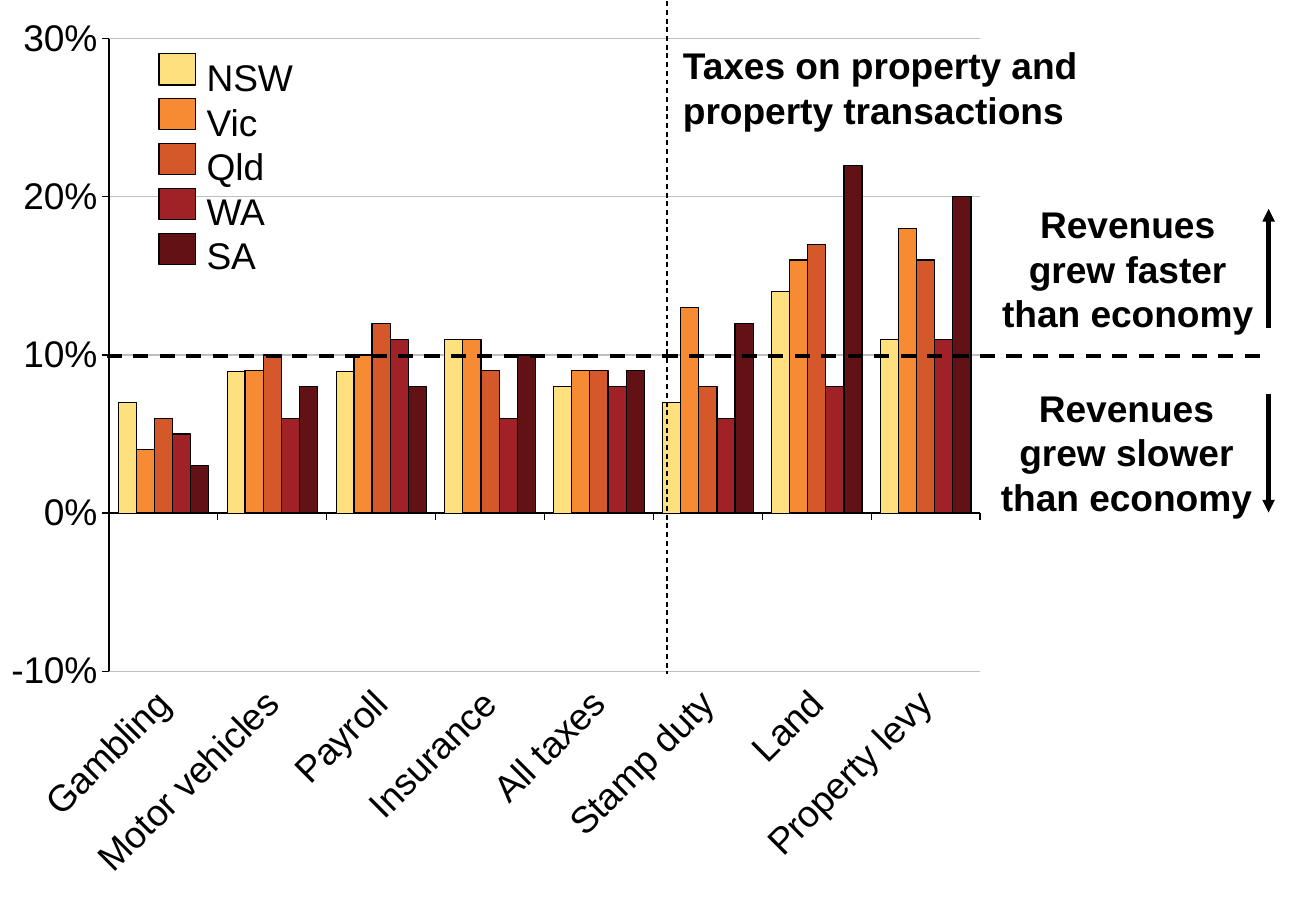
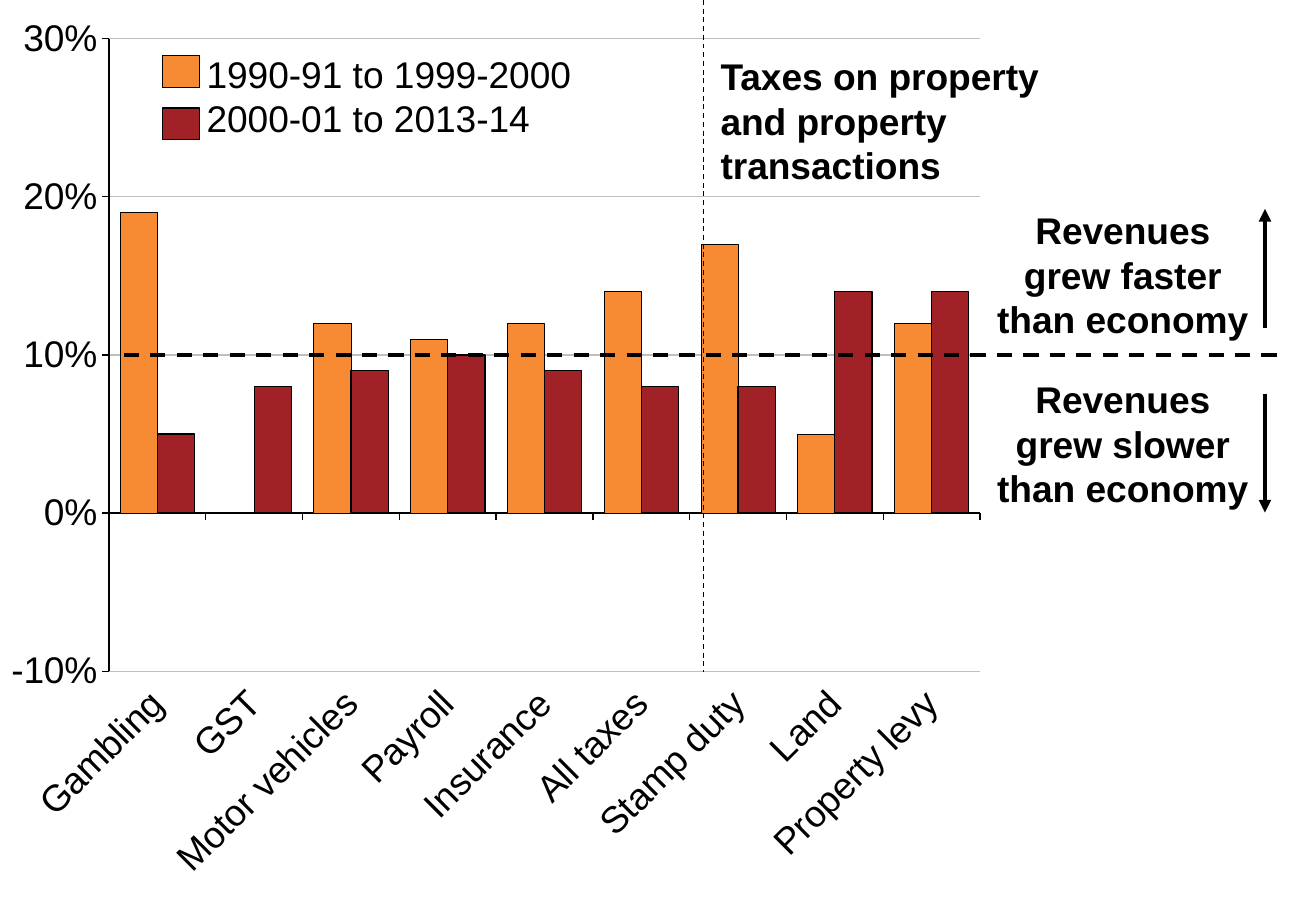
from pptx import Presentation
from pptx.chart.data import CategoryChartData
from pptx.dml.color import RGBColor
from pptx.enum import chart as ch, dml, shapes, text
from pptx.oxml import parse_xml
from pptx.oxml.ns import nsdecls, qn
from pptx.util import Inches, Pt

BLACK = RGBColor(0x00, 0x00, 0x00)
GRID = RGBColor(0xBF, 0xBF, 0xBF)
YELLOW = RGBColor(0xFF, 0xE0, 0x7F)
ORANGE = RGBColor(0xF6, 0x8B, 0x33)
RUST = RGBColor(0xD4, 0x58, 0x2A)
RED = RGBColor(0xA0, 0x22, 0x26)
MAROON = RGBColor(0x62, 0x12, 0x14)
FONT = "Arial"
SIZE = Pt(22)

PLOT_LAYOUT = (
    f'<c:layout {nsdecls("c")}><c:manualLayout><c:layoutTarget val="inner"/>'
    '<c:xMode val="edge"/><c:yMode val="edge"/><c:x val="0.08"/><c:y val="0.043"/>'
    '<c:w val="0.662"/><c:h val="0.703"/></c:manualLayout></c:layout>')

# Each slide: its series, and where its annotations stand
SLIDES = [
    dict(
        categories=["Gambling", "Motor vehicles", "Payroll", "Insurance", "All taxes",
                    "Stamp duty", "Land", "Property levy"],
        series=[
            ("NSW", YELLOW, [0.07, 0.09, 0.09, 0.11, 0.08, 0.07, 0.14, 0.11]),
            ("Vic", ORANGE, [0.04, 0.09, 0.10, 0.11, 0.09, 0.13, 0.16, 0.18]),
            ("Qld", RUST, [0.06, 0.10, 0.12, 0.09, 0.09, 0.08, 0.17, 0.16]),
            ("WA", RED, [0.05, 0.06, 0.11, 0.06, 0.08, 0.06, 0.08, 0.11]),
            ("SA", MAROON, [0.03, 0.08, 0.08, 0.10, 0.09, 0.12, 0.22, 0.20]),
        ],
        gap=100, key=(1.31, 0.44, 0.37), key_text=(1.7, 0.45, 0.84, 1.85),
        divider=(5.49, 0.01, 5.49, 5.55), economy=(0.88, 2.93, 10.44, 2.93),
        faster=(8.12, 1.61, 2.32, 1.21), slower=(8.11, 3.12, 2.32, 1.21),
        arrow_x=10.44, property_taxes=(5.62, 0.35, 3.49, 0.74)),
    dict(
        categories=["Gambling", "GST", "Motor vehicles", "Payroll", "Insurance",
                    "All taxes", "Stamp duty", "Land", "Property levy"],
        series=[
            ("1990-91 to 1999-2000", ORANGE,
             [0.19, None, 0.12, 0.11, 0.12, 0.14, 0.17, 0.05, 0.12]),
            ("2000-01 to 2013-14", RED,
             [0.05, 0.08, 0.09, 0.10, 0.09, 0.08, 0.08, 0.14, 0.14]),
        ],
        gap=60, key=(1.34, 0.46, 0.43), key_text=(1.7, 0.42, 3.7, 0.74),
        divider=(5.79, 0, 5.79, 5.53), economy=(1.02, 2.92, 10.58, 2.92),
        faster=(8.08, 1.66, 2.32, 1.21), slower=(8.08, 3.05, 2.32, 1.21),
        arrow_x=10.41, property_taxes=(5.93, 0.44, 2.94, 1.11)),
]


def add_text(slide, box, lines, bold=False, align=text.PP_ALIGN.LEFT, inset=True):
    frame = slide.shapes.add_textbox(*map(Inches, box)).text_frame
    frame.word_wrap = True
    frame.auto_size = text.MSO_AUTO_SIZE.SHAPE_TO_FIT_TEXT
    if not inset:
        frame.margin_left = frame.margin_right = frame.margin_top = frame.margin_bottom = 0
    frame.text = "\n".join(lines)
    for paragraph in frame.paragraphs:
        paragraph.alignment = align
        font = paragraph.runs[0].font
        font.name, font.size, font.bold = FONT, SIZE, bold
        font.color.rgb = BLACK


def add_line(slide, ends, width, dashed=False, arrow=False):
    connector = slide.shapes.add_connector(shapes.MSO_CONNECTOR.STRAIGHT, *map(Inches, ends))
    line = connector.line
    line.color.rgb = BLACK
    line.width = Pt(width)
    if dashed:
        line.dash_style = dml.MSO_LINE.DASH
    properties = connector._element.spPr
    if arrow:
        properties.find(qn("a:ln")).append(
            parse_xml(f'<a:tailEnd {nsdecls("a")} type="triangle"/>'))
    properties.append(parse_xml(f'<a:effectLst {nsdecls("a")}/>'))


prs = Presentation()
prs.slide_width = Inches(10.83)
prs.slide_height = Inches(7.5)

for content in SLIDES:
    slide = prs.slides.add_slide(prs.slide_layouts[6])

    # Growth chart
    growth = CategoryChartData(number_format="0%")
    growth.categories = content["categories"]
    for name, _, values in content["series"]:
        growth.add_series(name, values)
    chart = slide.shapes.add_chart(
        ch.XL_CHART_TYPE.COLUMN_CLUSTERED, Inches(0.03), 0, Inches(10.83), Inches(7.41),
        growth).chart
    chart.has_legend = chart.has_title = False
    chart.font.name, chart.font.size = FONT, Pt(18)
    chart.font.color.rgb = BLACK
    plot = chart.plots[0]
    plot.gap_width, plot.overlap = content["gap"], 0
    plot.vary_by_categories = False
    for index, (_, color, _) in enumerate(content["series"]):
        bars = plot.series[index]
        bars.format.fill.solid()
        bars.format.fill.fore_color.rgb = color
        bars.format.line.color.rgb = BLACK
        bars.format.line.width = Pt(0.75 if index else 0.25)
        bars.invert_if_negative = False
    plot_area = chart._chartSpace.chart.plotArea
    for layout in plot_area.findall(qn("c:layout")):
        plot_area.remove(layout)
    plot_area.insert(0, parse_xml(PLOT_LAYOUT))

    # Axes
    for axis in (chart.category_axis, chart.value_axis):
        axis.major_tick_mark = ch.XL_TICK_MARK.OUTSIDE
        axis.minor_tick_mark = ch.XL_TICK_MARK.NONE
        axis.format.line.color.rgb = BLACK
        axis.format.line.width = Pt(0.75)
        axis.tick_labels.font.size = SIZE
        axis.tick_labels.font.color.rgb = BLACK
    taxes, rate = chart.category_axis, chart.value_axis
    taxes.tick_label_position = ch.XL_TICK_LABEL_POSITION.LOW
    taxes._element.find(qn("c:txPr")).find(qn("a:bodyPr")).set("rot", "-2700000")
    rate.minimum_scale, rate.maximum_scale, rate.major_unit = -0.1, 0.3, 0.1
    rate.tick_labels.number_format = "0%"
    rate.tick_labels.number_format_is_linked = False
    rate.has_major_gridlines = True
    rate.major_gridlines.format.line.color.rgb = GRID
    rate.major_gridlines.format.line.width = Pt(0.75)

    # Key
    key_left, key_top, key_step = content["key"]
    for index, (_, color, _) in enumerate(content["series"]):
        swatch = slide.shapes.add_shape(
            shapes.MSO_SHAPE.RECTANGLE, Inches(key_left), Inches(key_top + index * key_step),
            Inches(0.3), Inches(0.26))
        swatch.shadow.inherit = False
        swatch.fill.solid()
        swatch.fill.fore_color.rgb = color
        swatch.line.color.rgb = BLACK
        swatch.line.width = Pt(0.75)
    add_text(slide, content["key_text"], [name for name, _, _ in content["series"]], inset=False)

    # Property taxes, right of the divider
    add_line(slide, content["divider"], 0.75, dashed=True)
    add_text(slide, content["property_taxes"], ["Taxes on property and property transactions"],
             bold=True, inset=False)

    # Growth against the economy
    add_line(slide, content["economy"], 2.25, dashed=True)
    for pace, start, end in (("faster", 2.7, 1.72), ("slower", 3.24, 4.22)):
        add_text(slide, content[pace], [f"Revenues grew {pace} than economy"],
                 bold=True, align=text.PP_ALIGN.CENTER)
        add_line(slide, (content["arrow_x"], start, content["arrow_x"], end), 2.5, arrow=True)

prs.save("out.pptx")
